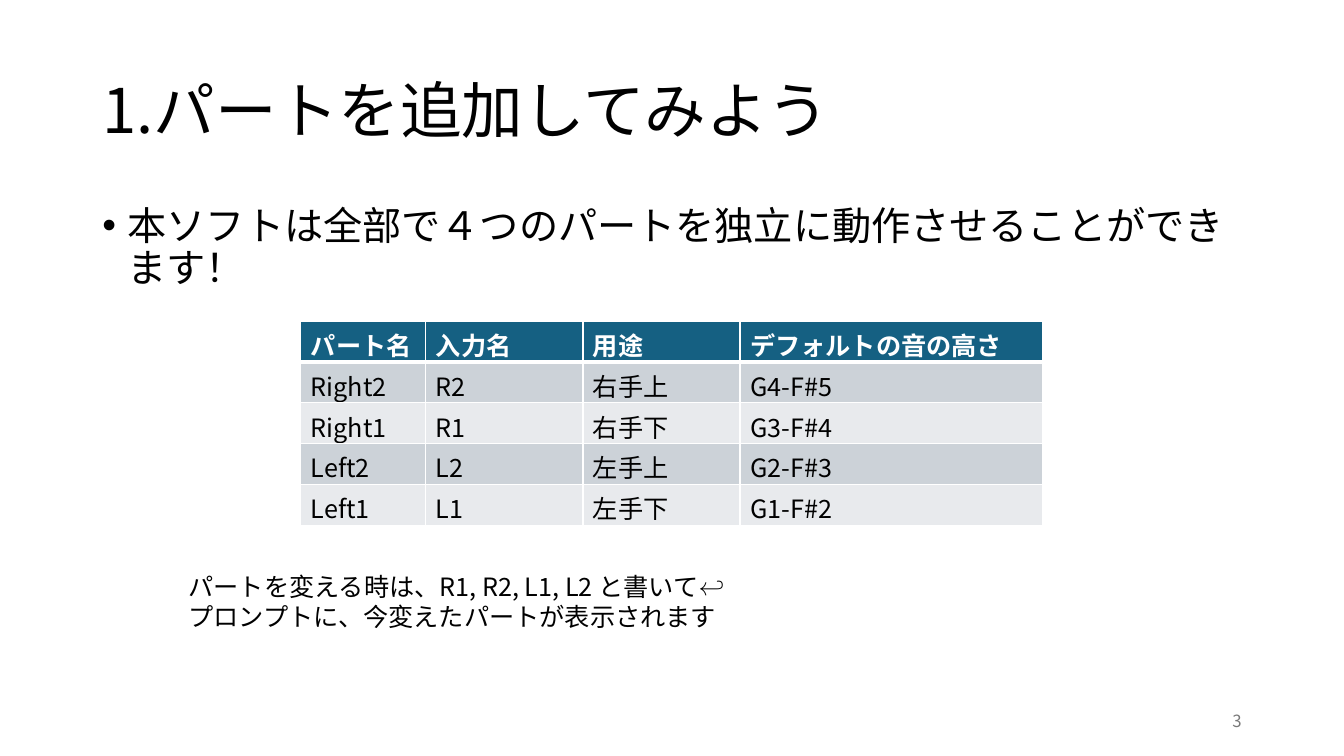
import pptx
import pptx.dml.color
import pptx.enum.text
import pptx.oxml
import pptx.oxml.ns
import pptx.util

Cm, Pt = pptx.util.Cm, pptx.util.Pt
RGBColor = pptx.dml.color.RGBColor
PP_ALIGN = pptx.enum.text.PP_ALIGN
MSO_ANCHOR = pptx.enum.text.MSO_ANCHOR
qn = pptx.oxml.ns.qn

# Content
TITLE = "1.パートを追加してみよう"
BULLET = "本ソフトは全部で４つのパートを独立に動作させることができます！"
PARTS = [
    ("パート名", "入力名", "用途", "デフォルトの音の高さ"),
    ("Right2", "R2", "右手上", "G4-F#5"),
    ("Right1", "R1", "右手下", "G3-F#4"),
    ("Left2", "L2", "左手上", "G2-F#3"),
    ("Left1", "L1", "左手下", "G1-F#2"),
]
NOTE = "パートを変える時は、R1, R2, L1, L2 と書いて↩️\nプロンプトに、今変えたパートが表示されます"
PAGE = "3"

# Style
FONT = "Noto Sans CJK JP"
BLACK = RGBColor(0x00, 0x00, 0x00)
WHITE = RGBColor(0xFF, 0xFF, 0xFF)
GREY = RGBColor(0x79, 0x79, 0x79)
HEADER = RGBColor(0x15, 0x60, 0x82)
BANDS = [RGBColor(0xCC, 0xD2, 0xD8), RGBColor(0xE8, 0xEA, 0xED)]
COL_WIDTHS = [Cm(3.15), Cm(3.96), Cm(3.96), Cm(7.62)]
ROW_HEIGHT = Cm(1.03)
MARGIN, CONTENT_WIDTH = Cm(2.33), Cm(29.21)


def write(tf, text, size, color=BLACK, bold=False, align=PP_ALIGN.LEFT):
    tf.text = text
    for p in tf.paragraphs:
        p.alignment = align
        for r in p.runs:
            r.font.size, r.font.bold, r.font.name = Pt(size), bold, FONT
            r.font.color.rgb = color
            ea = pptx.oxml.parse_xml(
                f'<a:ea {pptx.oxml.ns.nsdecls("a")} typeface="{FONT}"/>')
            r.font._element.find(qn("a:latin")).addnext(ea)


def add_text(slide, box, text, size, **style):
    tf = slide.shapes.add_textbox(*box).text_frame
    tf.word_wrap = True
    write(tf, text, size, **style)
    return tf


def set_borders(cell, bottom):
    widths = {"lnL": 1, "lnR": 1, "lnT": 1, "lnB": bottom}
    tcPr = cell._tc.get_or_add_tcPr()
    for i, (tag, width) in enumerate(widths.items()):
        tcPr.insert(i, pptx.oxml.parse_xml(
            f'<a:{tag} {pptx.oxml.ns.nsdecls("a")} w="{Pt(width)}">'
            f'<a:solidFill><a:srgbClr val="{WHITE}"/></a:solidFill></a:{tag}>'))


def main():
    prs = pptx.Presentation()
    prs.slide_width, prs.slide_height = Cm(33.87), Cm(19.05)
    slide = prs.slides.add_slide(prs.slide_layouts[5])

    # Title
    sp = slide.shapes.title
    sp.left, sp.top, sp.width, sp.height = MARGIN, Cm(1.01), CONTENT_WIDTH, Cm(3.68)
    tf = sp.text_frame
    tf.auto_size = pptx.enum.text.MSO_AUTO_SIZE.NONE
    tf.vertical_anchor = MSO_ANCHOR.MIDDLE
    write(tf, TITLE, 44)
    tf.paragraphs[0].line_spacing = 0.9

    # Bullet
    tf = add_text(slide, (MARGIN, Cm(5.07), CONTENT_WIDTH, Cm(3.1)), BULLET, 28)
    p = tf.paragraphs[0]
    p.line_spacing, p.space_before = 0.9, Pt(10)
    pPr = p._p.get_or_add_pPr()
    indent = Cm(0.64)
    pPr.set("marL", str(indent))
    pPr.set("indent", str(-indent))
    for xml in ('<a:buFont {} typeface="Arial"/>', '<a:buChar {} char="•"/>'):
        pPr.append(pptx.oxml.parse_xml(xml.format(pptx.oxml.ns.nsdecls("a"))))

    # Table of parts
    table = slide.shapes.add_table(
        len(PARTS), len(COL_WIDTHS), Cm(7.58), Cm(8.09),
        sum(COL_WIDTHS), ROW_HEIGHT * len(PARTS)).table
    for col, width in zip(table.columns, COL_WIDTHS):
        col.width = width
    for i, row in enumerate(PARTS):
        is_header = i == 0
        table.rows[i].height = ROW_HEIGHT
        for j, text in enumerate(row):
            cell = table.cell(i, j)
            write(cell.text_frame, text, 18, WHITE if is_header else BLACK, is_header)
            cell.fill.solid()
            cell.fill.fore_color.rgb = HEADER if is_header else BANDS[(i - 1) % 2]
            set_borders(cell, 3 if is_header else 1)

    # Note and page number
    add_text(slide, (Cm(4.5), Cm(14.27), Cm(23.88), Cm(1.8)), NOTE, 18)
    tf = add_text(slide, (Cm(23.92), Cm(17.66), Cm(7.62), Cm(1.01)), PAGE, 12,
                  color=GREY, align=PP_ALIGN.RIGHT)
    tf.vertical_anchor = MSO_ANCHOR.MIDDLE

    prs.save("out.pptx")


if __name__ == "__main__":
    main()
